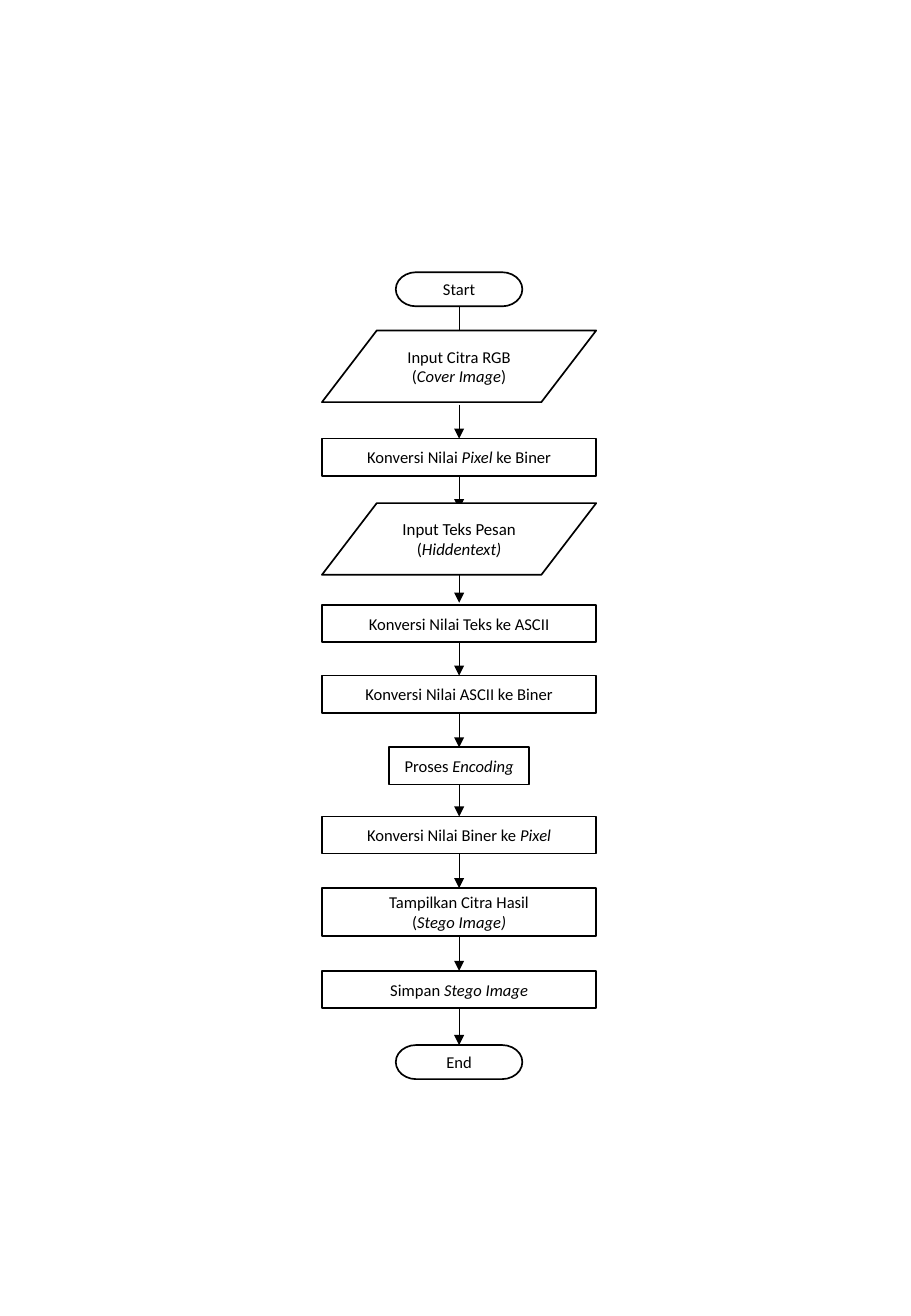
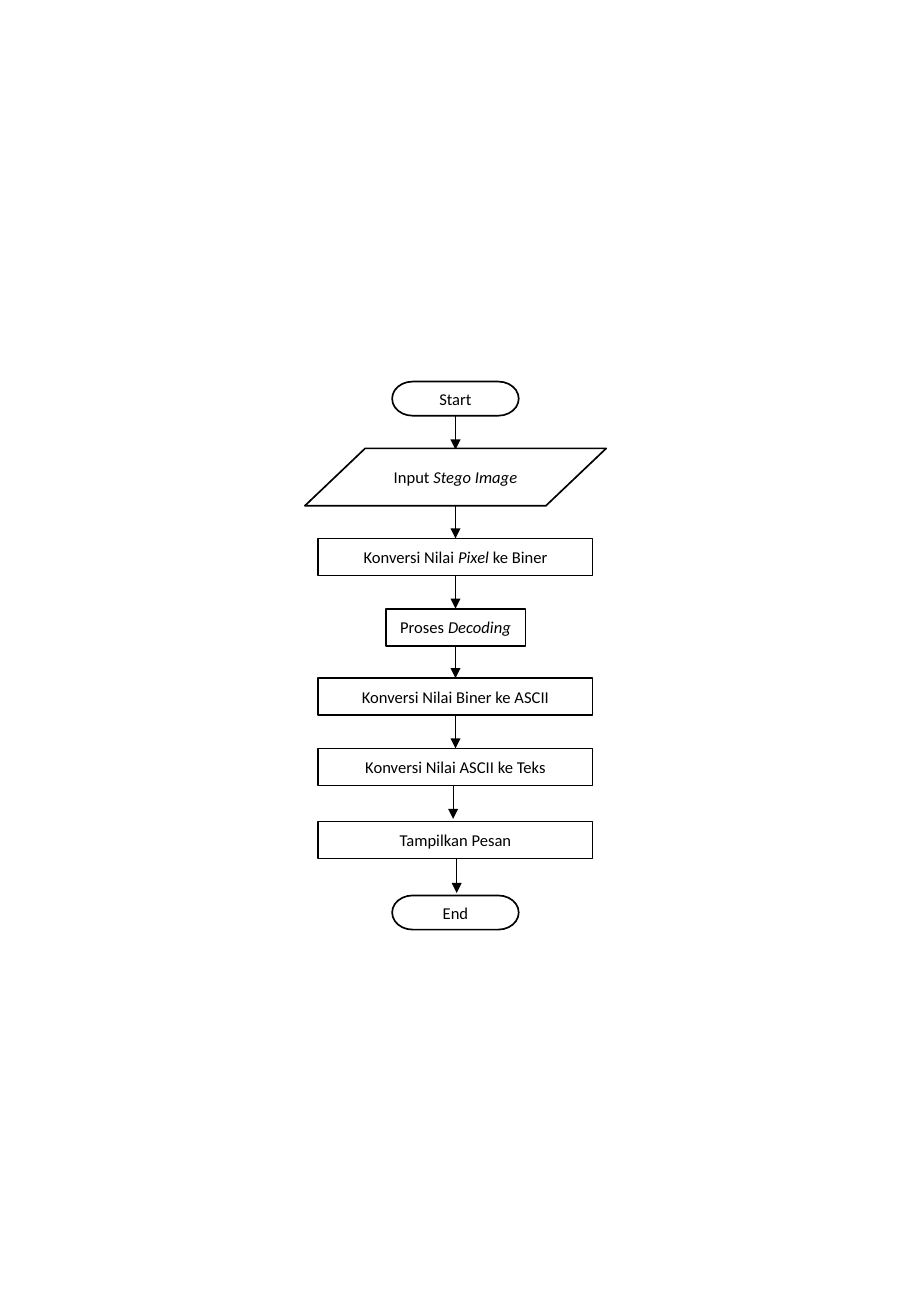
"""Build two flowcharts: hiding a message in an image, and reading it back."""
from lxml import etree
from pptx import Presentation
from pptx.dml.color import RGBColor
from pptx.enum import shapes, text
from pptx.oxml.ns import qn
from pptx.util import Pt

COLOURS = {"ink": "000000", "paper": "FFFFFF"}
FONT = "Calibri"
ARROW_LENGTH = 20.16
JOIN_TOLERANCE = 1
INK = RGBColor.from_string(COLOURS["ink"])
PAPER = RGBColor.from_string(COLOURS["paper"])

PRESETS = {
    "terminal": shapes.MSO_SHAPE.FLOWCHART_TERMINATOR,
    "process": shapes.MSO_SHAPE.FLOWCHART_PROCESS,
    "input": shapes.MSO_SHAPE.FLOWCHART_DATA,
}
MARGINS = {"terminal": (5.8, 2.9), "process": (5.8, 2.9), "input": (7.2, 3.6)}
TERMINAL = ("terminal", 75, 20.2)
WIDE = ("process", 162.6, 22)
TALL = ("process", 162.6, 28.1)
SMALL = ("process", 82.8, 22)
COVER_INPUT = ("input", 162.6, 42.5)
STEGO_INPUT = ("input", 178.6, 34)

FLOWCHARTS = [
    {
        "centre": 272.16,
        "steps": [
            (TERMINAL, 161.3, "Start", 9.8),
            (COVER_INPUT, 195.8, "Input Citra RGB\n(*Cover Image*)", 9.8),
            (WIDE, 259.9, "Konversi Nilai *Pixel *ke Biner", 9.8),
            (COVER_INPUT, 298.1, "Input Teks Pesan (*Hiddentext)", 10),
            (WIDE, 358.6, "Konversi Nilai Teks ke ASCII", 9.8),
            (WIDE, 400.3, "Konversi Nilai ASCII ke Biner", 9.8),
            (SMALL, 442.8, "Proses *Encoding", 9.8),
            (WIDE, 483.8, "Konversi Nilai Biner ke *Pixel", 9.8),
            (TALL, 526.3, "Tampilkan Citra Hasil\n(*Stego Image)", 9.8),
            (WIDE, 575.3, "Simpan *Stego Image", 9.8),
            (TERMINAL, 619.2, "End", 9.8),
        ],
        "arrows": [(181.4, 0), (239.8, 0), (281.5, 0), (337, 0), (380.2, 0),
                   (422.6, 0), (464.4, 0), (505.4, 0), (554.4, 0), (598.3, 0)],
    },
    {
        "centre": 270,
        "steps": [
            (TERMINAL, 226.1, "Start", 9.8),
            (STEGO_INPUT, 265.7, "Input *Stego Image", 9.8),
            (WIDE, 319, "Konversi Nilai *Pixel *ke Biner", 9.8),
            (SMALL, 360.7, "Proses *Decoding", 9.8),
            (WIDE, 401.8, "Konversi Nilai Biner ke ASCII", 9.8),
            (WIDE, 443.5, "Konversi Nilai ASCII ke Teks", 9.8),
            (WIDE, 486.7, "Tampilkan Pesan", 9.8),
            (TERMINAL, 530.6, "End", 9.8),
        ],
        "arrows": [(246.2, 0), (299.5, 0), (341.3, 0), (382.3, 0),
                   (424.1, 0), (465.1, -1.4), (509, 0.7)],
    },
]


def add_step(slide, centre, form, top, label, size):
    kind, width, height = form
    step = slide.shapes.add_shape(PRESETS[kind], Pt(centre - width / 2), Pt(top),
                                  Pt(width), Pt(height))
    step.shadow.inherit = False
    step.fill.solid()
    step.fill.fore_color.rgb = PAPER
    step.line.color.rgb = INK
    step.line.width = Pt(1)
    frame = step.text_frame
    frame.word_wrap = True
    frame.vertical_anchor = text.MSO_ANCHOR.MIDDLE
    side, edge = MARGINS[kind]
    frame.margin_left = frame.margin_right = Pt(side)
    frame.margin_top = frame.margin_bottom = Pt(edge)
    for row, wording in enumerate(label.split("\n")):
        paragraph = frame.add_paragraph() if row else frame.paragraphs[0]
        paragraph.alignment = text.PP_ALIGN.CENTER
        for part, piece in enumerate(wording.split("*")):
            run = paragraph.add_run()
            run.text = piece
            run.font.name = FONT
            run.font.size = Pt(size)
            run.font.italic = part % 2 == 1
            run.font.color.rgb = INK
    return step


def add_arrow(slide, x, top):
    arrow = slide.shapes.add_connector(shapes.MSO_CONNECTOR.STRAIGHT, Pt(x), Pt(top),
                                       Pt(x), Pt(top + ARROW_LENGTH))
    arrow.line.color.rgb = INK
    arrow.line.width = Pt(0.5)
    etree.SubElement(arrow.line._get_or_add_ln(), qn("a:tailEnd"), type="triangle")
    etree.SubElement(arrow._element.spPr, qn("a:effectLst"))
    return arrow


deck = Presentation()
deck.slide_width, deck.slide_height = Pt(540), Pt(779.76)

for flowchart in FLOWCHARTS:
    slide = deck.slides.add_slide(deck.slide_layouts[6])
    centre, steps = flowchart["centre"], flowchart["steps"]
    joinable = {}
    for index, step in enumerate(steps):
        if step[0][0] != "input":
            joinable[index] = add_step(slide, centre, *step)

    for index, (start, shift) in enumerate(flowchart["arrows"]):
        arrow = add_arrow(slide, centre + shift, start)
        form, top = steps[index][:2]
        leaves = abs(top + form[2] - start) <= JOIN_TOLERANCE
        arrives = abs(steps[index + 1][1] - start - ARROW_LENGTH) <= JOIN_TOLERANCE
        if index in joinable and leaves and not shift:
            arrow.begin_connect(joinable[index], 2)
        if index + 1 in joinable and arrives and not shift:
            arrow.end_connect(joinable[index + 1], 0)

    for step in steps:
        if step[0][0] == "input":
            add_step(slide, centre, *step)

deck.save("out.pptx")
